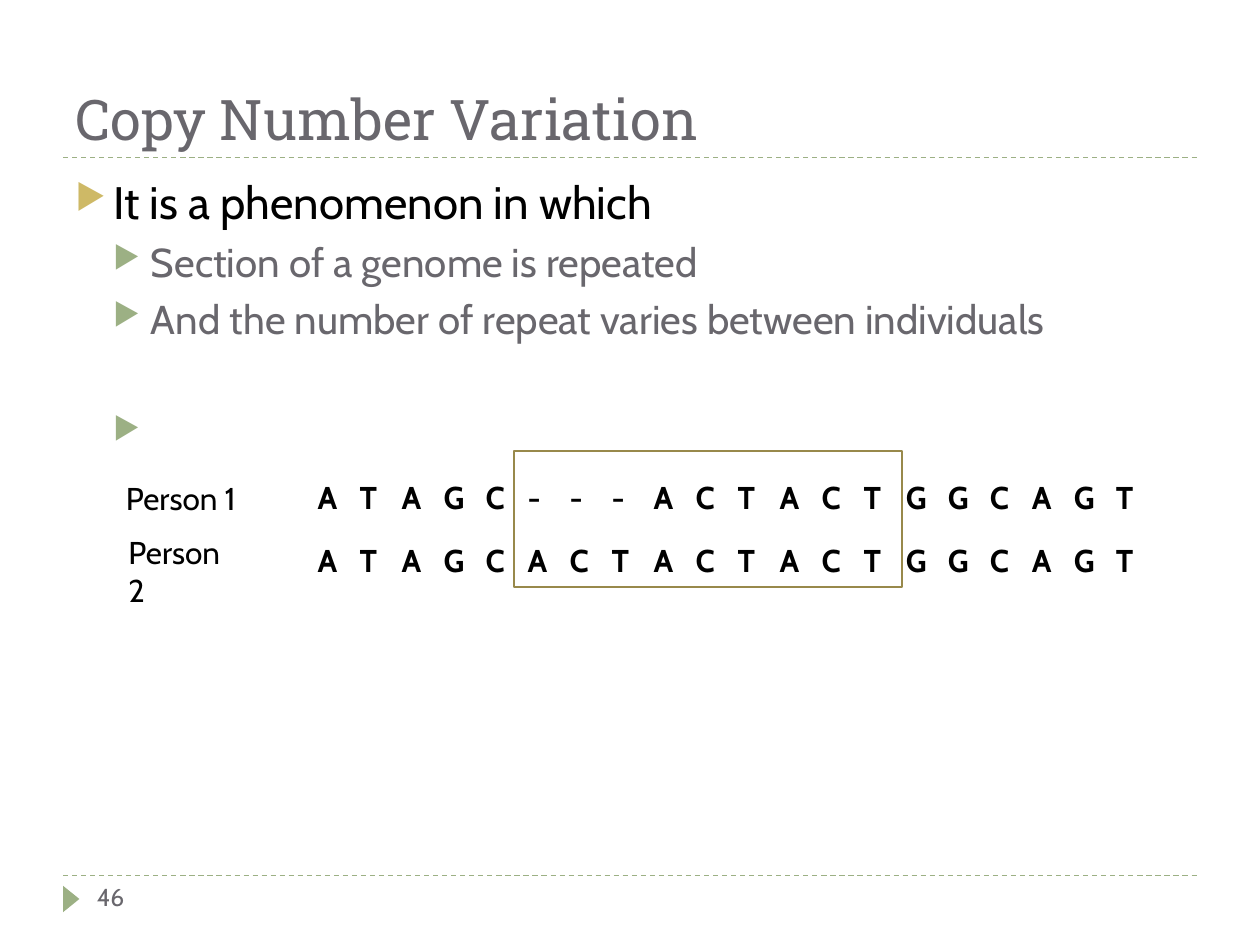
import pptx
import pptx.dml.color
import pptx.enum.dml
import pptx.enum.shapes
import pptx.enum.text
import pptx.oxml.ns
import pptx.util
from lxml import etree

Inches = pptx.util.Inches
Pt = pptx.util.Pt
SHAPES = pptx.enum.shapes.MSO_SHAPE
ANCHORS = pptx.enum.text.MSO_ANCHOR
BLACK, GREY, GREEN, GOLD, OLIVE, WHITE = "000000", "69676D", "9CB084", "CEB966", "98894B", "FFFFFF"


def color(value):
    return pptx.dml.color.RGBColor.from_string(value)


def add_xml(parent, tag, **attributes):
    return etree.SubElement(parent, pptx.oxml.ns.qn(tag), **attributes)


class SlideBuilder:
    """Holds the fonts and the current page, and adds each kind of element."""

    heading_font = "Roboto Slab"
    body_font = "Cabin"

    def __init__(self, page):
        self.page = page

    def span(self, para, text, size, ink, font=None, bold=False):
        span = para.add_run()
        span.text = text
        span.font.name = font or self.body_font
        span.font.size = Pt(size)
        span.font.bold = bold
        span.font.color.rgb = color(ink)

    def box(self, left, top, width, height, anchor=ANCHORS.TOP):
        box = self.page.shapes.add_textbox(Inches(left), Inches(top), Inches(width), Inches(height))
        box.text_frame.word_wrap = True
        box.text_frame.vertical_anchor = anchor
        return box.text_frame

    def label(self, text, place, size, ink, font=None, anchor=ANCHORS.TOP):
        frame = self.box(*place, anchor)
        self.span(frame.paragraphs[0], text, size, ink, font)

    def bullets(self, items, place):
        frame = self.box(*place)
        for number, (text, level, size, ink, mark, before) in enumerate(items):
            para = frame.add_paragraph() if number else frame.paragraphs[0]
            para.level = level
            para.space_before = Pt(before)
            self.span(para, text, size, ink)
            properties = para._p.get_or_add_pPr()
            properties.set("marL", str(Inches(0.3 * (level + 1))))
            properties.set("indent", str(Inches(-0.3)))
            add_xml(add_xml(properties, "a:buClr"), "a:srgbClr", val=mark)
            add_xml(properties, "a:buSzPct", val="76000")
            add_xml(properties, "a:buChar", char="▶")

    def rule(self, top):
        line = self.page.shapes.add_connector(
            pptx.enum.shapes.MSO_CONNECTOR.STRAIGHT, Inches(0.5), Inches(top), Inches(9.5), Inches(top))
        line.line.color.rgb = color(GREEN)
        line.line.width = Pt(0.75)
        line.line.dash_style = pptx.enum.dml.MSO_LINE.DASH
        add_xml(line._element.spPr, "a:effectLst")

    def shape(self, kind, left, top, width, height, fill=None, outline=None, rotation=0):
        shape = self.page.shapes.add_shape(kind, Inches(left), Inches(top), Inches(width), Inches(height))
        shape.shadow.inherit = False
        shape.rotation = rotation
        if fill:
            shape.fill.solid()
            shape.fill.fore_color.rgb = color(fill)
        else:
            shape.fill.background()
        if outline:
            shape.line.color.rgb = color(outline)
            shape.line.width = Pt(1.5)
        else:
            shape.line.fill.background()

    def sequence(self, bases, left, top, width, height):
        table = self.page.shapes.add_table(
            1, len(bases), Inches(left), Inches(top), Inches(width), Inches(height)).table
        for column, base in enumerate(bases):
            cell = table.cell(0, column)
            cell.fill.solid()
            cell.fill.fore_color.rgb = color(WHITE)
            self.span(cell.text_frame.paragraphs[0], base, 18, BLACK, bold=True)


def main():
    deck = pptx.Presentation()
    deck.slide_width, deck.slide_height = Inches(10), Inches(7.5)
    slide = SlideBuilder(deck.slides.add_slide(deck.slide_layouts[6]))

    for top in (6.95, 1.25):
        slide.rule(top)
    slide.shape(SHAPES.ISOSCELES_TRIANGLE, 0.46, 7.07, 0.21, 0.13, fill=GREEN, rotation=90)
    slide.label("Copy Number Variation", (0.5, 0.17, 9, 1.08), 32, GREY, slide.heading_font, ANCHORS.BOTTOM)
    slide.label("46", (0.67, 6.95, 2.17, 0.4), 14, GREY)
    slide.bullets([
        ("It is a phenomenon in which", 0, 26, BLACK, GOLD, 6),
        ("Section of a genome is repeated", 1, 23, GREY, GREEN, 5),
        ("And the number of repeat varies between individuals", 1, 23, GREY, GREEN, 5),
        (" ", 1, 23, GREY, GREEN, 37.6),
    ], (0.5, 1.33, 9, 5.4))

    for bases, top in (("ATAGC---ACTACTGGCAGT", 3.75), ("ATAGCACTACTACTGGCAGT", 4.25)):
        slide.sequence(bases, 2.42, top, 6.67, 0.41)
    slide.shape(SHAPES.RECTANGLE, 4.08, 3.58, 3.08, 1.08, outline=OLIVE)
    slide.label("Person 1", (0.9, 3.75, 1.1, 0.4), 18, BLACK)
    slide.label("Person 2", (0.92, 4.18, 1.05, 0.4), 18, BLACK)

    deck.save("out.pptx")


if __name__ == "__main__":
    main()
